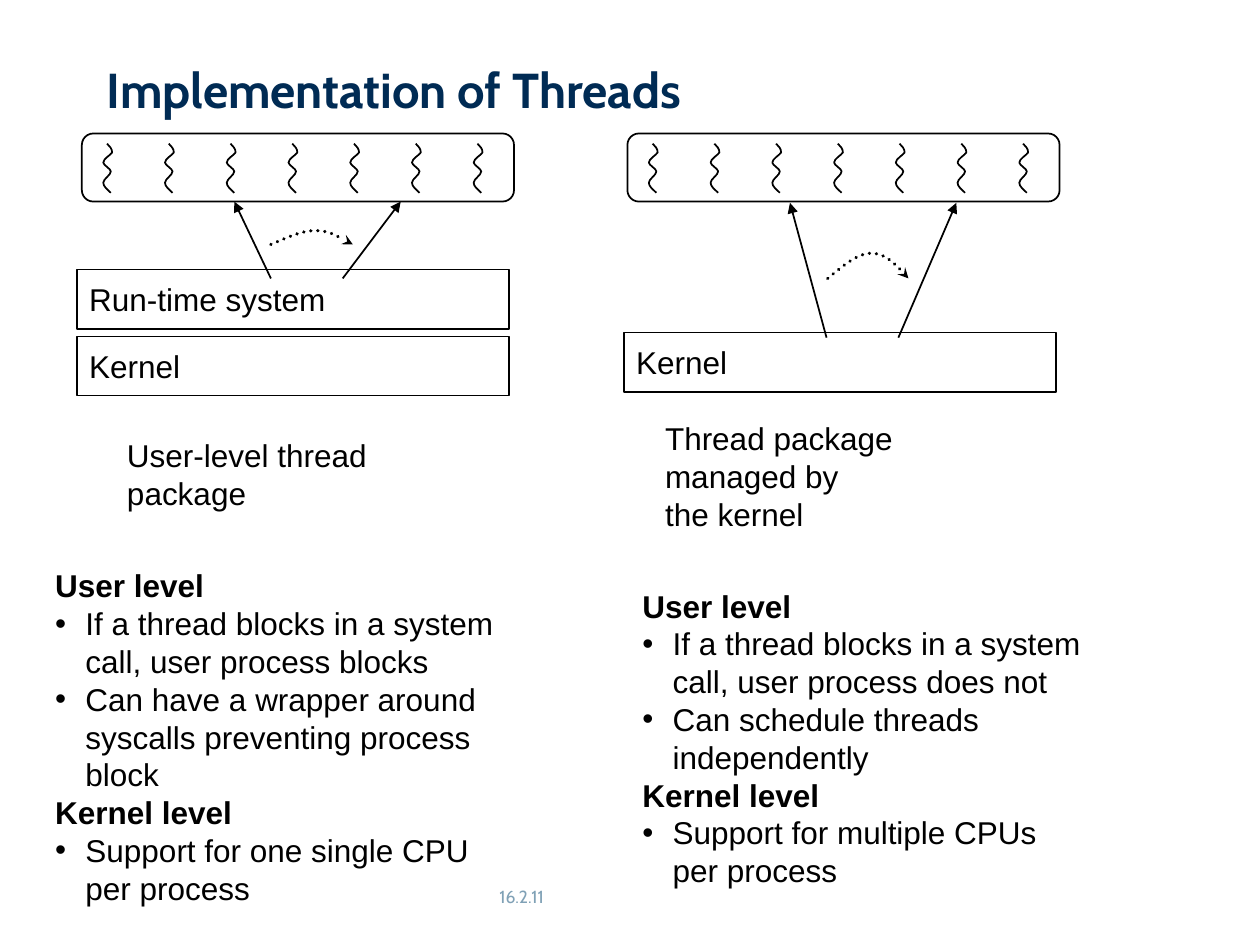
from pptx import Presentation
from pptx.util import Inches, Pt
from pptx.dml.color import RGBColor
from pptx.enum.dml import MSO_LINE
from pptx.enum.shapes import MSO_SHAPE, MSO_CONNECTOR
from pptx.enum.text import MSO_ANCHOR, PP_ALIGN
from pptx.oxml.ns import qn
from lxml.etree import SubElement

BLACK = "000000"
GAP = 0.49  # between threads

prs = Presentation()
prs.slide_width, prs.slide_height = Inches(10), Inches(7.5)
shapes = prs.slides.add_slide(prs.slide_layouts[6]).shapes


def color(code):
    return RGBColor.from_string(code)


def write(shape, lines, anchor=MSO_ANCHOR.TOP, align=PP_ALIGN.LEFT, **form):
    """Fill a shape with lines; a line marked '•' becomes a bullet, '#' a heading."""
    frame = shape.text_frame
    frame.word_wrap = True
    frame.vertical_anchor = anchor
    look = dict(name="Arial", size=Pt(18), bold=False) | form
    tint = look.pop("tint", BLACK)
    for i, line in enumerate(lines):
        para = frame.paragraphs[0] if i == 0 else frame.add_paragraph()
        para.text = line.lstrip("•#")
        para.alignment = align
        if line[0] == "•":
            props = para._p.get_or_add_pPr()
            props.set("marL", str(Inches(0.24)))
            props.set("indent", str(Inches(-0.24)))
            SubElement(props, qn("a:buFont"), typeface="Arial")
            SubElement(props, qn("a:buChar"), char="•")
        for run in para.runs:
            for key, value in look.items():
                setattr(run.font, key, value)
            run.font.bold = look["bold"] or line[0] == "#"
            run.font.color.rgb = color(tint)


# Each side: panel, boxes, arrows, arc, caption and notes
sides = [
    dict(
        panel=0.65, boxes=[(0.61, 2.67, "Kernel"), (0.61, 2.14, "Run-time system")],
        arrows=[(2.15, 2.21, 1.86, 1.6), (2.72, 2.21, 3.18, 1.6)],
        arc=[(2.15, 1.94), (2.27, 1.89), (2.39, 1.83), (2.5, 1.83),
             (2.61, 1.83), (2.7, 1.89), (2.8, 1.94)],
        label=(0.91, 3.41, 2.8, 0.37), caption="User-level thread package",
        body=(0.34, 4.45),
        notes=["#User level",
               "•If a thread blocks in a system call, user process blocks",
               "•Can have a wrapper around syscalls preventing process block",
               "#Kernel level",
               "•Support for one single CPU per process"],
    ),
    dict(
        panel=4.98, boxes=[(4.95, 2.64, "Kernel")],
        arrows=[(6.56, 2.68, 6.27, 1.61), (7.13, 2.68, 7.59, 1.61)],
        arc=[(6.57, 2.21), (6.69, 2.11), (6.81, 2.01), (6.91, 2.01),
             (7.02, 2.01), (7.12, 2.11), (7.21, 2.21)],
        label=(5.18, 3.28, 3.09, 0.64),
        caption="Thread package managed by\vthe kernel",
        body=(5, 4.46),
        notes=["#User level",
               "•If a thread blocks in a system call, user process does not",
               "•Can schedule threads independently",
               "#Kernel level",
               "•Support for multiple CPUs per process"],
    ),
]

# One thread: Bezier points measured from the panel's left edge
wave = [(0.2, 1.14), (0.22, 1.16), (0.24, 1.18), (0.24, 1.21),
        (0.23, 1.23), (0.17, 1.26), (0.17, 1.29),
        (0.17, 1.31), (0.23, 1.34), (0.23, 1.36),
        (0.23, 1.39), (0.17, 1.42), (0.17, 1.45),
        (0.17, 1.48), (0.2, 1.5), (0.23, 1.53)]

# Title
title = shapes.add_textbox(Inches(0.75), Inches(0.42), Inches(8.5), Inches(0.5))
write(title, ["Implementation of Threads"],
      name="Cabin", size=Pt(28), bold=True, tint="002B54")

# Notes
for side in sides:
    x, y = side["body"]
    notes = shapes.add_textbox(Inches(x), Inches(y), Inches(3.74), Inches(2.79))
    write(notes, side["notes"], MSO_ANCHOR.MIDDLE)

for side in sides:
    drawn = []  # (shape, line width, arrowhead)

    # System boxes
    for x, y, text in side["boxes"]:
        box = shapes.add_shape(MSO_SHAPE.RECTANGLE, Inches(x), Inches(y),
                               Inches(3.43), Inches(0.47))
        write(box, [text], MSO_ANCHOR.MIDDLE)
        drawn.append((box, 1, None))

    # Arrows up to the threads
    for ends in side["arrows"]:
        arrow = shapes.add_connector(MSO_CONNECTOR.STRAIGHT,
                                     *[Inches(v) for v in ends])
        SubElement(arrow._element.spPr, qn("a:effectLst"))
        drawn.append((arrow, 1, "triangle"))

    # Caption
    label = shapes.add_textbox(*[Inches(v) for v in side["label"]])
    write(label, [side["caption"]])

    # Dotted switch arc and seven threads: every three points make one curve
    curves = [(side["arc"], 2, "stealth")]
    curves += [([(side["panel"] + i * GAP + x, y) for x, y in wave], 1, None)
               for i in range(7)]
    for knots, width, head in curves:
        start, *rest = [(Inches(x), Inches(y)) for x, y in knots]
        pen = shapes.build_freeform(*start)
        pen.add_line_segments(rest, close=False)
        curve = pen.convert_to_shape()
        route = next(curve._element.iter(qn("a:path")))
        legs = route.findall(qn("a:lnTo"))
        for k in range(0, len(legs), 3):
            bend = SubElement(route, qn("a:cubicBezTo"))
            for leg in legs[k:k + 3]:
                bend.append(leg[0])
                route.remove(leg)
        drawn.append((curve, width, head))

    # Thread panel
    panel = shapes.add_shape(MSO_SHAPE.ROUNDED_RECTANGLE, Inches(side["panel"]),
                             Inches(1.06), Inches(3.43), Inches(0.54))
    panel.adjustments[0] = 0.167
    drawn.append((panel, 1, None))

    # Shared line style
    for shape, width, head in drawn:
        if hasattr(shape, "fill"):
            shape.fill.background()
            shape.shadow.inherit = False
        shape.line.color.rgb = color(BLACK)
        shape.line.width = Pt(width)
        edge = shape.line._get_or_add_ln()
        if head == "stealth":
            shape.line.dash_style = MSO_LINE.ROUND_DOT
            edge.set("cap", "rnd")
        if head:
            SubElement(edge, qn("a:tailEnd"), type=head)

# Date
date = shapes.add_textbox(Inches(3.19), Inches(7.03), Inches(1.9), Inches(0.29))
date.text_frame.margin_top = date.text_frame.margin_bottom = 0
write(date, ["16.2.11"], align=PP_ALIGN.CENTER,
      name="Cabin", size=Pt(10), tint="80A1B6")

prs.save("out.pptx")
